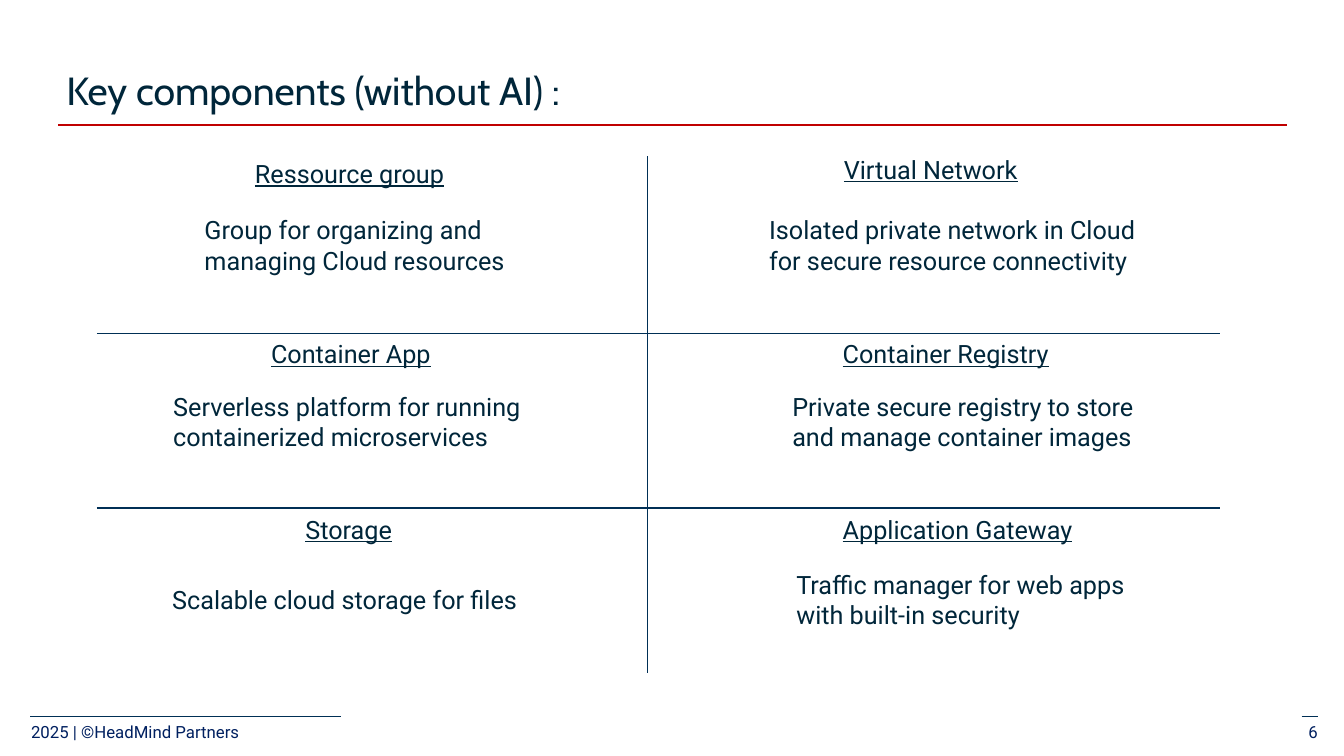
import pptx
import pptx.dml.color
import pptx.enum.shapes
import pptx.enum.text
import pptx.oxml.ns
import pptx.util
from lxml import etree

Inches = pptx.util.Inches
ANCHOR = pptx.enum.text.MSO_ANCHOR
ALIGN = pptx.enum.text.PP_ALIGN

INK = "00263A"
RULE = "002F55"
FOOTER = "002060"
RED = "C00000"

FOOTER_MARGINS = (0.12, 0.05)

COMPONENTS = [
    ("Ressource group", (2.43, 1.52, 2.99),
     "Group for organizing and managing Cloud resources", (1.93, 2.08, 3.76, 0.71)),
    ("Virtual Network", (8.27, 1.48, 1.98),
     "Isolated private network in Cloud for secure resource connectivity", (7.53, 2.08, 3.95, 0.71)),
    ("Container App", (2.59, 3.31, 1.98),
     "Serverless platform for running containerized microservices", (1.62, 3.83, 3.76, 0.71)),
    ("Container Registry", (8.26, 3.31, 2.76),
     "Private secure registry to store and manage container images", (7.76, 3.83, 3.76, 0.71)),
    ("Storage", (2.93, 5.05, 1.98),
     "Scalable cloud storage for files", (1.61, 5.75, 3.76, 0.4)),
    ("Application Gateway", (8.26, 5.05, 3.22),
     "Traffic manager for web apps with built-in security", (7.8, 5.6, 3.76, 0.71)),
]


def color(value):
    return pptx.dml.color.RGBColor.from_string(value)


def add_text(slide, text, left, top, width, height, *, size=18, font="Roboto", fill=INK,
             underline=False, align=ALIGN.LEFT, anchor=ANCHOR.TOP, side=0.1, margins=(0.05, 0.05)):
    box = slide.shapes.add_textbox(Inches(left), Inches(top), Inches(width), Inches(height))
    frame = box.text_frame
    frame.word_wrap = True
    frame.vertical_anchor = anchor
    frame.margin_left = frame.margin_right = Inches(side)
    frame.margin_top, frame.margin_bottom = (Inches(margin) for margin in margins)
    paragraph = frame.paragraphs[0]
    paragraph.alignment = align
    run = paragraph.add_run()
    run.text = text
    run.font.name = font
    run.font.size = pptx.util.Pt(size)
    run.font.underline = underline
    run.font.color.rgb = color(fill)


def add_line(slide, x1, y1, x2, y2, stroke=RULE, width=0.75):
    line = slide.shapes.add_connector(
        pptx.enum.shapes.MSO_CONNECTOR.STRAIGHT, Inches(x1), Inches(y1), Inches(x2), Inches(y2))
    line.line.color.rgb = color(stroke)
    line.line.width = pptx.util.Pt(width)
    etree.SubElement(line._element.spPr, pptx.oxml.ns.qn("a:effectLst"))


def add_component(slide, name, name_place, description, description_place):
    add_text(slide, name, *name_place, 0.4, underline=True)
    add_text(slide, description, *description_place)


def add_header(slide):
    add_line(slide, 0.58, 1.24, 12.76, 1.24, RED, 1.5)
    add_text(slide, "Key components (without AI) :", 0.56, 0.21, 12.2, 0.95,
             size=28, font="Cabin", anchor=ANCHOR.BOTTOM, margins=(0.04, 0.04))


def add_footer(slide):
    for start, end in ((12.91, 13.07), (0.3, 3.38)):
        add_line(slide, start, 7.11, end, 7.11)
    add_text(slide, "6", 12.35, 7.04, 0.72, 0.4, size=12, fill=FOOTER,
             align=ALIGN.RIGHT, side=0, margins=FOOTER_MARGINS)
    add_text(slide, "2025 | ©HeadMind Partners", 0.21, 7.04, 6.2, 0.4,
             size=12, fill=FOOTER, margins=FOOTER_MARGINS)


def add_grid(slide):
    add_line(slide, 6.42, 1.55, 6.42, 6.68)
    for y in (3.31, 5.04):
        add_line(slide, 0.96, y, 12.1, y)


def main():
    presentation = pptx.Presentation()
    presentation.slide_width = Inches(13.33)
    presentation.slide_height = Inches(7.5)
    slide = presentation.slides.add_slide(presentation.slide_layouts[6])
    add_header(slide)
    add_footer(slide)
    add_grid(slide)
    for component in COMPONENTS:
        add_component(slide, *component)
    presentation.save("out.pptx")


if __name__ == "__main__":
    main()
